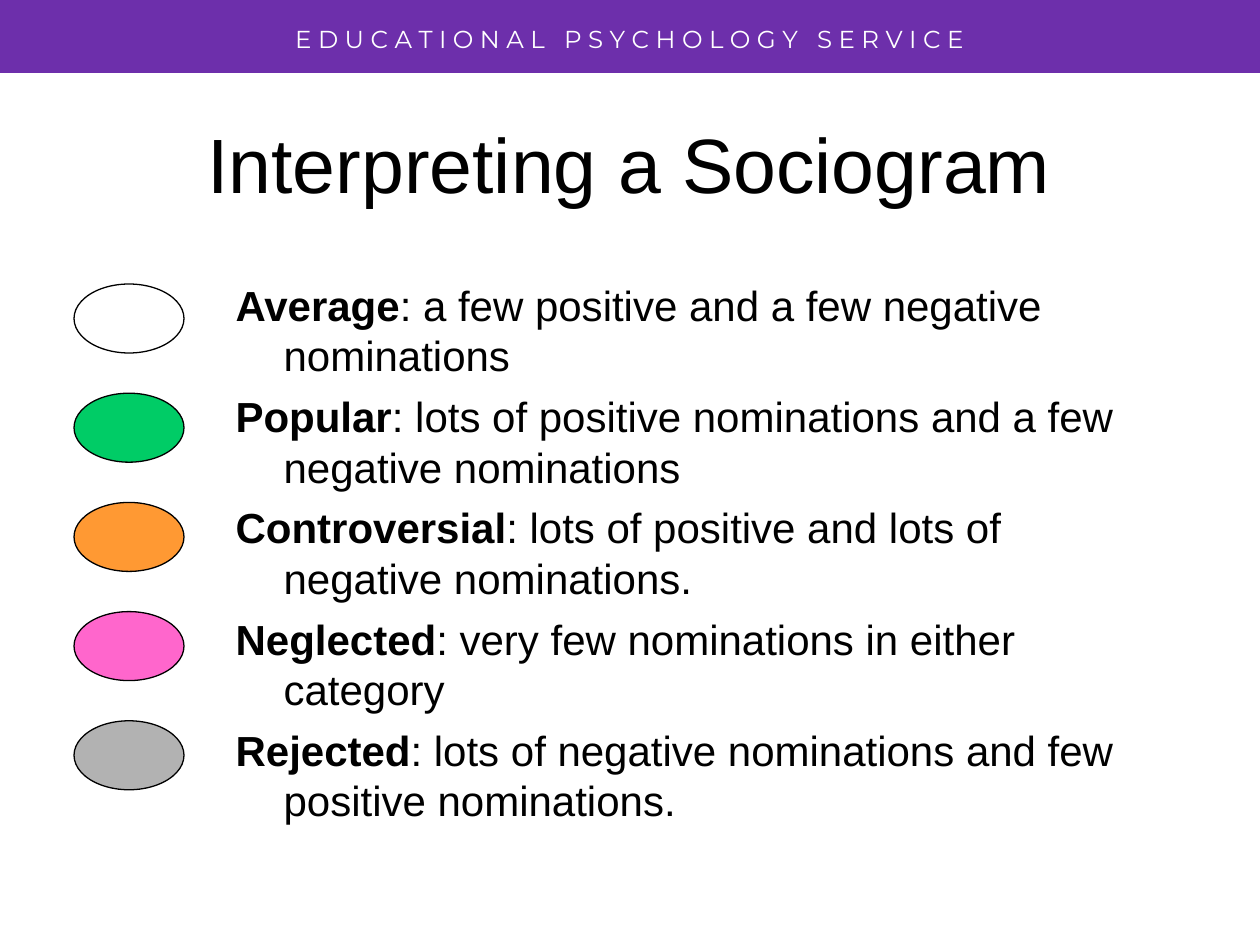
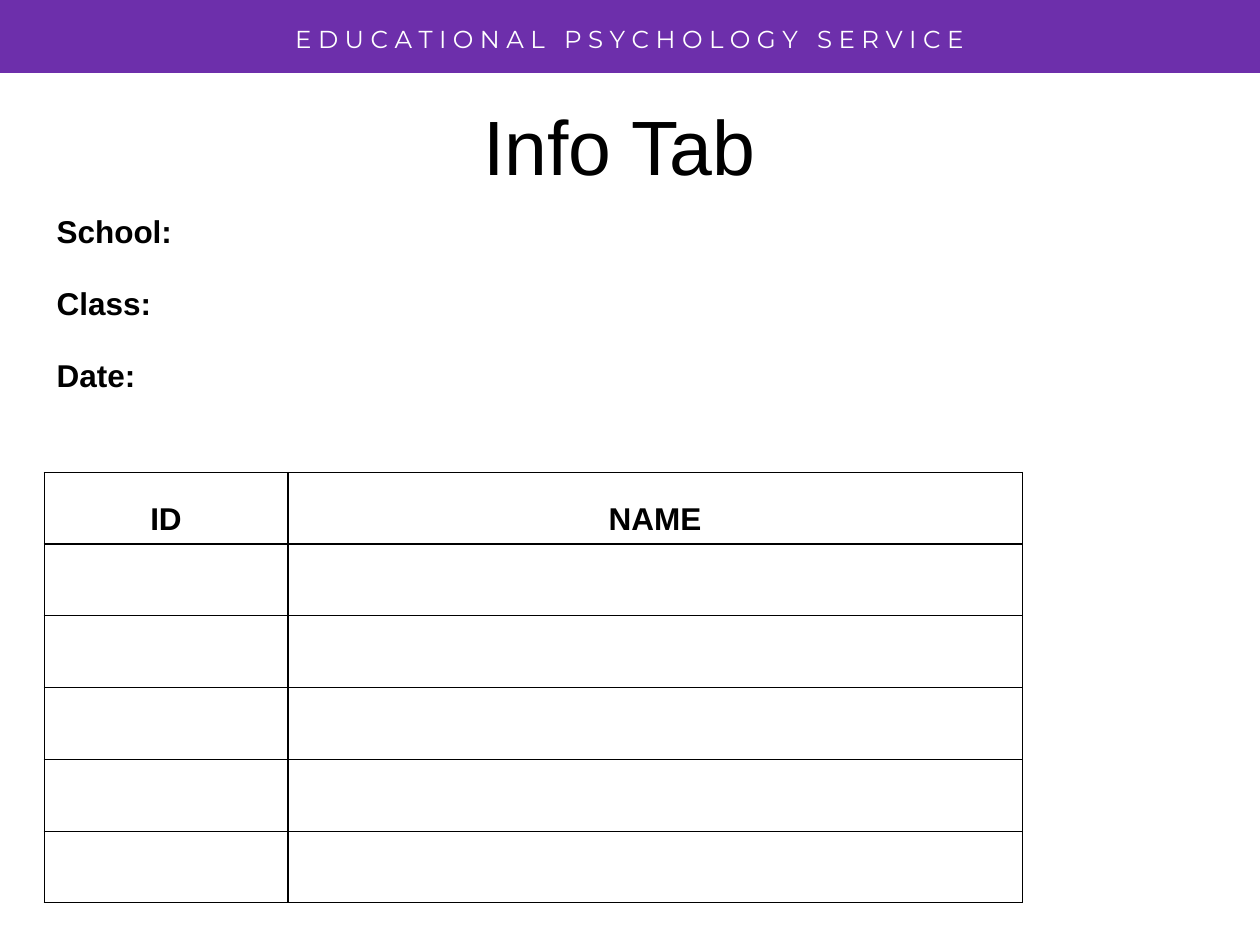
from lxml import etree
from pptx import Presentation
from pptx.dml.color import RGBColor
from pptx.enum.shapes import MSO_SHAPE
from pptx.enum.text import MSO_ANCHOR, MSO_AUTO_SIZE, PP_ALIGN
from pptx.oxml.ns import qn
from pptx.util import Emu, Pt

RECT, OVAL = MSO_SHAPE.RECTANGLE, MSO_SHAPE.OVAL
MIDDLE, BOTTOM = MSO_ANCHOR.MIDDLE, MSO_ANCHOR.BOTTOM
LEFT, CENTER = PP_ALIGN.LEFT, PP_ALIGN.CENTER
NO_FIT = MSO_AUTO_SIZE.NONE

SCALE = 914400 / 126
WIDE, HIGH = 1260, 945
FACE, BAND_FACE = "Arial", "Montserrat"
PLAIN_GRID = "{2D5ABB26-0587-4C30-8999-92F81FD0307C}"
THIN, THICK = 0.45, 0.96

COLORS = {
    "band": "6D2FAB",
    "text": "000000",
    "light": "FFFFFF",
    "popular": "00CC66",
    "mixed": "FF9933",
    "neglect": "FF66CC",
    "reject": "B2B2B2",
}

SERVICE = " ".join("EDUCATIONAL PSYCHOLOGY SERVICE")

GROUPS = [
    (None, "Average", ": a few positive and a few negative nominations"),
    ("popular", "Popular", ": lots of positive nominations and a few negative nominations"),
    ("mixed", "Controversial", ": lots of positive and lots of negative nominations."),
    ("neglect", "Neglected", ": very few nominations in either category"),
    ("reject", "Rejected", ": lots of negative nominations and few positive nominations."),
]
FIELDS = ["School:", "Class:", "Date:"]
HEADS = ["ID", "NAME"]


def px(size):
    return Emu(round(size * SCALE))


def area(*box):
    return [px(side) for side in box]


def tint(name):
    return RGBColor.from_string(COLORS[name])


def style(para, size, color="text", face=FACE, bold=None, align=LEFT):
    para.alignment = align
    font = para.font
    font.name, font.size, font.bold = face, Pt(size), bold
    font.color.rgb = tint(color)


def move(shape, box):
    shape.left, shape.top, shape.width, shape.height = area(*box)


def add_form(slide, kind, box, fill, line=None):
    form = slide.shapes.add_shape(kind, *area(*box))
    form.shadow.inherit = False
    if fill:
        form.fill.solid()
        form.fill.fore_color.rgb = tint(fill)
    else:
        form.fill.background()
    if line:
        form.line.color.rgb = tint(line)
        form.line.width = Pt(0.75)
    else:
        form.line.fill.background()


def add_band(slide, box):
    left, top, width, height = box
    add_form(slide, RECT, box, "band")
    label = slide.shapes.add_textbox(*area(left, top + 18, width, 43))
    frame = label.text_frame
    frame.word_wrap = True
    frame.text = SERVICE
    style(frame.paragraphs[0], 14, "light", BAND_FACE, align=CENTER)


def set_title(slide, text, box):
    title = slide.shapes.title
    move(title, box)
    frame = title.text_frame
    frame.text = text
    frame.vertical_anchor = MIDDLE
    frame.auto_size = NO_FIT
    style(frame.paragraphs[0], 44, align=CENTER)


def start_slide(deck, layout, title, box):
    slide = deck.slides.add_slide(deck.slide_layouts[layout])
    add_band(slide, (0, 0, WIDE, 73))
    set_title(slide, title, box)
    return slide


def fill_list(slide, box):
    body = slide.placeholders[1]
    move(body, box)
    frame = body.text_frame
    frame.auto_size = NO_FIT
    for order, (_, name, rest) in enumerate(GROUPS):
        para = frame.add_paragraph() if order else frame.paragraphs[0]
        props = para._p.get_or_add_pPr()
        props.set("marL", str(px(48)))
        props.set("indent", str(px(-48)))
        etree.SubElement(props, qn("a:buNone"))
        style(para, 24)
        para.line_spacing = Pt(28.8)
        para.space_before = Pt(6 if order else 0)
        para.add_run().text = name
        para.runs[0].font.bold = True
        para.add_run().text = rest


def add_key(slide, box):
    left, top, width, height = box
    step = height / len(GROUPS)
    for order, (color, _, _) in enumerate(GROUPS):
        spot = (left, top + order * step, width, 69)
        add_form(slide, OVAL, spot, color, "text")


def add_edge(cell, side, width):
    props = cell._tc.get_or_add_tcPr()
    line = etree.SubElement(props, qn("a:ln" + side), w=str(Pt(width)))
    fill = etree.SubElement(line, qn("a:solidFill"))
    etree.SubElement(fill, qn("a:srgbClr"), val=COLORS["text"])


def frame_cell(cell, row, col, head):
    add_edge(cell, "L", THICK if col else THIN)
    add_edge(cell, "R", THIN if col else THICK)
    add_edge(cell, "T", THICK if row == head + 1 else THIN)
    add_edge(cell, "B", THICK if row == head else THIN)


def write_cell(cell, text, align):
    cell.text = text
    cell.vertical_anchor = BOTTOM
    style(cell.text_frame.paragraphs[0], 18, bold=True, align=align)


def add_info(slide, box, rows=10, cols=(244, 734, 54)):
    table = slide.shapes.add_table(rows, len(cols), *area(*box)).table
    table.first_row = table.horz_banding = False
    table._tbl.tblPr.find(qn("a:tableStyleId")).text = PLAIN_GRID
    for col, width in enumerate(cols):
        table.columns[col].width = px(width)
    head = len(FIELDS) + 1
    for row in range(rows):
        table.rows[row].height = px(box[3] / rows)
        for col in range(len(cols)):
            cell = table.cell(row, col)
            if row >= head and col < len(HEADS):
                frame_cell(cell, row, col, head)
            cell.fill.background()
    for row, text in enumerate(FIELDS):
        write_cell(table.cell(row, 0), text, LEFT)
        table.cell(row, 1).merge(table.cell(row, 2))
    for col, text in enumerate(HEADS):
        write_cell(table.cell(head, col), text, CENTER)


def build_key(deck):
    slide = start_slide(deck, 1, "Interpreting a Sociogram", (94, 84, 1071, 158))
    fill_list(slide, (223, 273, 943, 567))
    add_key(slide, (74, 284, 110, 546))


def build_info(deck):
    slide = start_slide(deck, 5, "Info Tab", (84, 66, 1071, 158))
    add_info(slide, (44, 185, 1032, 718))


def main():
    deck = Presentation()
    deck.slide_width, deck.slide_height = px(WIDE), px(HIGH)
    build_key(deck)
    build_info(deck)
    deck.save("out.pptx")


if __name__ == "__main__":
    main()
